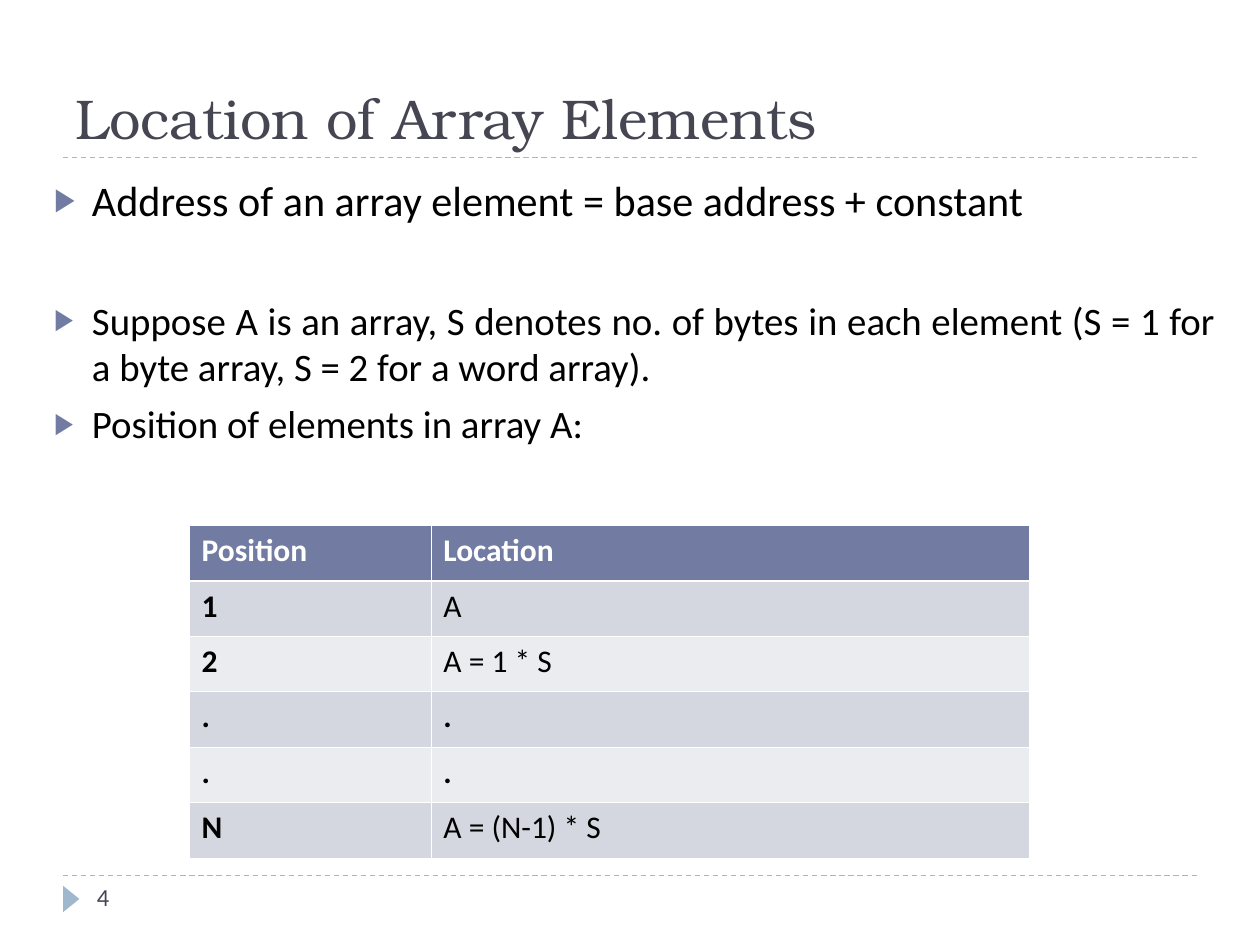
from lxml import etree
from pptx import Presentation
from pptx.dml.color import RGBColor
from pptx.enum.dml import MSO_LINE
from pptx.enum.shapes import MSO_CONNECTOR, MSO_SHAPE
from pptx.enum.text import MSO_ANCHOR, MSO_AUTO_SIZE, PP_ALIGN
from pptx.oxml.ns import qn
from pptx.util import Inches, Pt

DASH = MSO_LINE.DASH
STRAIGHT = MSO_CONNECTOR.STRAIGHT
TRIANGLE = MSO_SHAPE.ISOSCELES_TRIANGLE
BOTTOM, TOP = MSO_ANCHOR.BOTTOM, MSO_ANCHOR.TOP
NO_FIT = MSO_AUTO_SIZE.NONE
LEFT, JUSTIFY = PP_ALIGN.LEFT, PP_ALIGN.JUSTIFY

COLOURS = {
    "accent": "727CA3", "rule": "9FB8CD", "title": "464653",
    "text": "000000", "white": "FFFFFF",
    "odd row": "D5D7E0", "even row": "EBECF0",
}
BODY_FONT, TITLE_FONT = "Calibri", "TeX Gyre Bonum"
MARGIN = 0.5
WIDTH, HEIGHT = 10, 7.5
INDENT = 0.3

# text, size, space before
BULLETS = [
    ("Address of an array element = base address + constant", 24.1, 0),
    ("Suppose A is an array, S denotes no. of bytes in each element "
     "(S = 1 for a byte array, S = 2 for a word array).", 22.2, 41),
    ("Position of elements in array A:", 22.2, 6),
]
ROWS = [("Position", "Location"), ("1", "A"), ("2", "A = 1 * S"),
        (".", "."), (".", "."), ("N", "A = (N-1) * S")]
COLUMN_WIDTHS = (1.92, 4.75)
ROW_HEIGHT = 0.44


def colour(name):
    return RGBColor.from_string(COLOURS[name])


def place(shape, left, top, width, height):
    shape.left, shape.top = Inches(left), Inches(top)
    shape.width, shape.height = Inches(width), Inches(height)


def add_run(para, text, size, colour_name, font=BODY_FONT, bold=False):
    span = para.add_run()
    span.text = text
    span.font.name, span.font.size, span.font.bold = font, Pt(size), bold
    span.font.color.rgb = colour(colour_name)


def add_bullet(para):
    """Give the paragraph a hanging arrow bullet."""
    properties = para._p.get_or_add_pPr()
    properties.set("marL", str(Inches(INDENT)))
    properties.set("indent", str(-Inches(INDENT)))
    bullet_colour = etree.SubElement(properties, qn("a:buClr"))
    etree.SubElement(bullet_colour, qn("a:srgbClr"), val=COLOURS["accent"])
    etree.SubElement(properties, qn("a:buSzPct"), val="76000")
    etree.SubElement(properties, qn("a:buChar"), char="▶")


def add_rule(page, y):
    rule = page.shapes.add_connector(
        STRAIGHT, Inches(MARGIN), Inches(y), Inches(WIDTH - MARGIN), Inches(y))
    rule.line.color.rgb = colour("rule")
    rule.line.width = Pt(0.75)
    rule.line.dash_style = DASH
    etree.SubElement(rule._element.spPr, qn("a:effectLst"))


def add_page_marker(page):
    marker = page.shapes.add_shape(
        TRIANGLE, Inches(0.46), Inches(7.07), Inches(0.21), Inches(0.13))
    marker.rotation = 90
    marker.shadow.inherit = False
    marker.fill.solid()
    marker.fill.fore_color.rgb = colour("rule")
    marker.line.fill.background()


def add_page_number(page, number):
    box = page.shapes.add_textbox(
        Inches(0.67), Inches(6.95), Inches(2.17), Inches(0.4))
    box.text_frame.word_wrap = True
    add_run(box.text_frame.paragraphs[0], number, 14, "title")


def fill_title(title, text):
    place(title, MARGIN, 0.17, WIDTH - 2 * MARGIN, 1.08)
    frame = title.text_frame
    frame.auto_size, frame.vertical_anchor = NO_FIT, BOTTOM
    para = frame.paragraphs[0]
    para.alignment = LEFT
    add_run(para, text, 32, "title", TITLE_FONT)


def fill_body(body):
    place(body, 0.33, 1.33, 9.42, 2.58)
    frame = body.text_frame
    frame.auto_size, frame.vertical_anchor = NO_FIT, TOP
    for index, (text, size, space) in enumerate(BULLETS):
        para = frame.add_paragraph() if index else frame.paragraphs[0]
        add_bullet(para)
        para.alignment = JUSTIFY
        para.space_before = Pt(space)
        add_run(para, text, size, "text")


def set_borders(cell, top, bottom):
    """Draw white cell borders; top and bottom widths are in points."""
    properties = cell._tc.get_or_add_tcPr()
    widths = {"lnL": 0.45, "lnR": 0.45, "lnT": top, "lnB": bottom}
    for index, (side, width) in enumerate(widths.items()):
        line = etree.Element(qn(f"a:{side}"), w=str(Pt(width)))
        fill = etree.SubElement(line, qn("a:solidFill"))
        etree.SubElement(fill, qn("a:srgbClr"), val=COLOURS["white"])
        properties.insert(index, line)


def add_location_table(page):
    table = page.shapes.add_table(
        len(ROWS), len(COLUMN_WIDTHS), Inches(1.5), Inches(4.17),
        Inches(sum(COLUMN_WIDTHS)), Inches(ROW_HEIGHT * len(ROWS))).table
    for column, width in zip(table.columns, COLUMN_WIDTHS):
        column.width = Inches(width)
    for r, texts in enumerate(ROWS):
        table.rows[r].height = Inches(ROW_HEIGHT)
        band = "accent" if r == 0 else "odd row" if r % 2 else "even row"
        for c, text in enumerate(texts):
            cell = table.cell(r, c)
            cell.fill.solid()
            cell.fill.fore_color.rgb = colour(band)
            set_borders(cell, top=1.47 if r == 1 else 0.45,
                        bottom=1.47 if r == 0 else 0.45)
            add_run(cell.text_frame.paragraphs[0], text, 18,
                    "text" if r else "white",
                    bold=r == 0 or c == 0 or text == ".")


def main():
    deck = Presentation()
    deck.slide_width, deck.slide_height = Inches(WIDTH), Inches(HEIGHT)
    page = deck.slides.add_slide(deck.slide_layouts[1])
    add_rule(page, 6.95)
    add_rule(page, 1.25)
    add_page_marker(page)
    fill_title(page.shapes.title, "Location of Array Elements")
    fill_body(page.placeholders[1])
    add_page_number(page, "4")
    add_location_table(page)
    deck.save("out.pptx")


if __name__ == "__main__":
    main()
